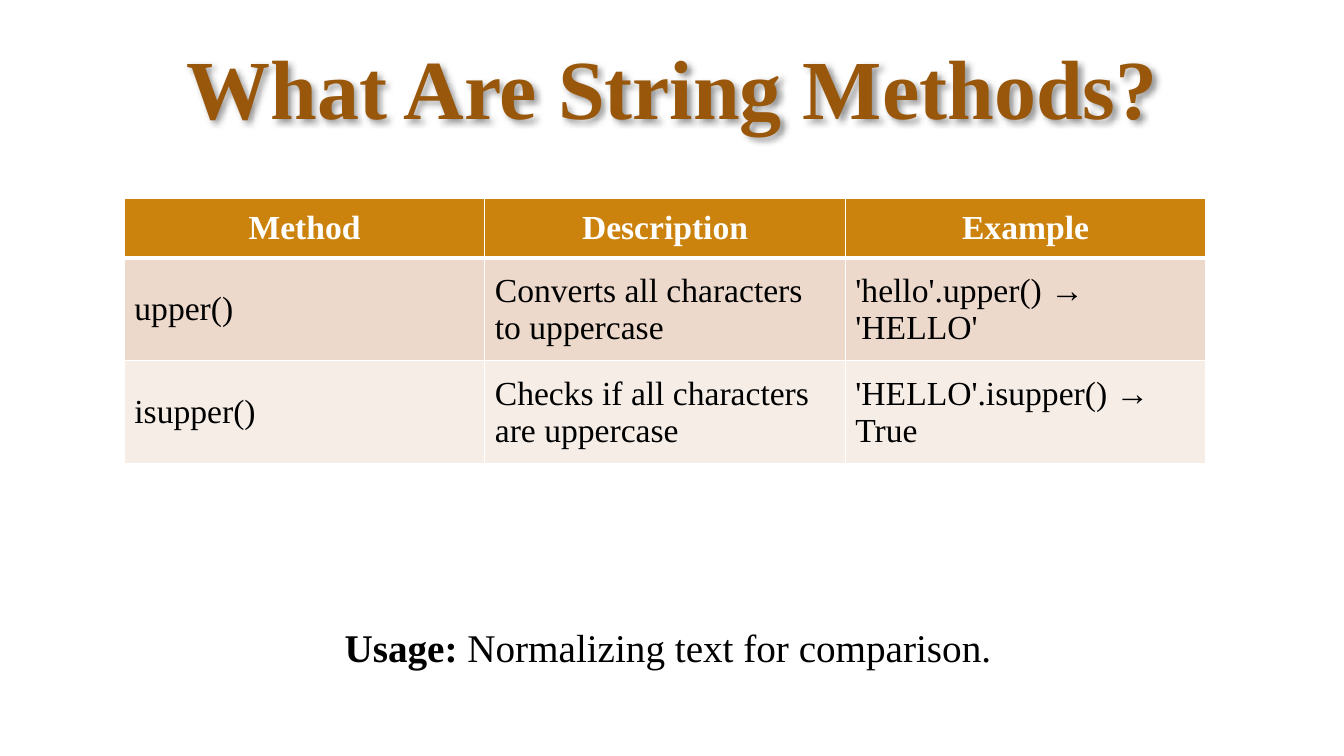
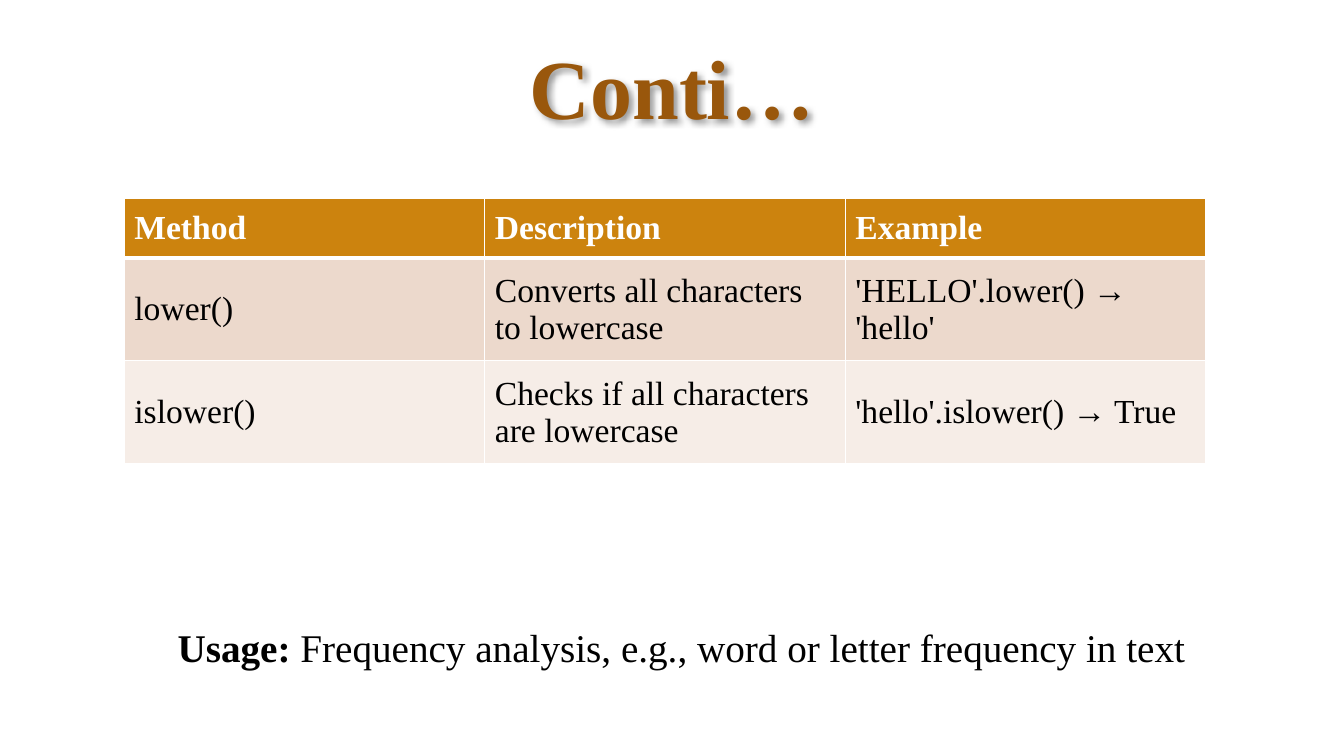
from lxml.etree import SubElement
from pptx import Presentation
from pptx.dml.color import RGBColor
from pptx.enum.text import MSO_ANCHOR as Anchor, MSO_AUTO_SIZE as AutoSize, PP_ALIGN as Align
from pptx.oxml import parse_xml
from pptx.oxml.ns import nsdecls, qn
from pptx.util import Pt

BROWN = RGBColor(0x99, 0x57, 0x0C)
AMBER = RGBColor(0xCC, 0x83, 0x0E)
SAND = RGBColor(0xEC, 0xD9, 0xCC)
CREAM = RGBColor(0xF6, 0xED, 0xE7)
WHITE = RGBColor(0xFF, 0xFF, 0xFF)
BLACK = RGBColor(0, 0, 0)
GREY = RGBColor(0x40, 0x40, 0x40)

FONT = "Times New Roman"
TITLE = dict(name=FONT, size=Pt(60), bold=True, color=BROWN)
HEAD = dict(name=FONT, size=Pt(24), bold=True, color=WHITE)
CELL = dict(HEAD, bold=False, color=BLACK)
USAGE = dict(CELL, size=Pt(28))

TITLE_BOX = (0, 8, 960, 93.6)
TABLE_BOX = (88.8, 142, 772.5, 189.2)
ROW_HEIGHTS = (42.4, 73.4, 73.4)
ROW_FILLS = (AMBER, SAND, CREAM)
HEADERS = ("Method", "Description", "Example")

SLIDES = [
    dict(title="What Are String Methods?", head_align=Align.CENTER,
         rows=[("upper()", "Converts all characters to uppercase", "'hello'.upper() → 'HELLO'"),
               ("isupper()", "Checks if all characters are uppercase", "'HELLO'.isupper() → True")],
         usage=" Normalizing text for comparison.",
         usage_box=(239, 441.4, 517, 41), usage_align=Align.LEFT),
    dict(title="Conti…", head_align=Align.LEFT,
         rows=[("lower()", "Converts all characters to lowercase", "'HELLO'.lower() → 'hello'"),
               ("islower()", "Checks if all characters are lowercase", "'hello'.islower() → True")],
         usage=" Frequency analysis, e.g., word or letter frequency in text",
         usage_box=(68.4, 441.4, 836.6, 41), usage_align=Align.CENTER),
]


def points(box):
    """Convert a box of numbers to lengths in points."""
    return [Pt(v) for v in box]


def add_run(p, text, fmt):
    """Add a formatted run to a paragraph."""
    r = p.add_run()
    r.text = text
    for key, value in fmt.items():
        if key == "color":
            r.font.color.rgb = value
        else:
            setattr(r.font, key, value)
    return r


def line_xml(tag, color, width, alpha=100):
    """Return a solid line element for a cell side or text outline."""
    return parse_xml(
        f'<a:{tag} {nsdecls("a")} w="{Pt(width)}"><a:solidFill><a:srgbClr val="{color}">'
        f'<a:alpha val="{alpha * 1000}"/></a:srgbClr></a:solidFill></a:{tag}>')


def add_shadow(sp):
    """Give the text of an unfilled shape a soft shadow to the lower right."""
    sp.fill.background()
    effects = SubElement(sp._element.spPr, qn("a:effectLst"))
    effects.append(parse_xml(
        f'<a:outerShdw {nsdecls("a")} blurRad="{Pt(4)}" dist="{Pt(3)}" dir="2700000" algn="tl">'
        f'<a:srgbClr val="{BLACK}"><a:alpha val="40000"/></a:srgbClr></a:outerShdw>'))


def add_title(s, box, text):
    """Place the slide title with its outline and shadow."""
    sp = s.shapes.title
    sp.left, sp.top, sp.width, sp.height = points(box)
    tf = sp.text_frame
    tf.word_wrap, tf.auto_size, tf.vertical_anchor = True, AutoSize.NONE, Anchor.BOTTOM
    p = tf.paragraphs[0]
    p.alignment, p.line_spacing = Align.CENTER, 0.9
    r = add_run(p, text, TITLE)
    r.font._element.insert(0, line_xml("ln", GREY, 0.75, 10))
    add_shadow(sp)


def fill_cell(cell, text, fmt, fill, align, top, bottom):
    """Write one table cell with its fill and white borders."""
    cell.vertical_anchor = Anchor.MIDDLE
    cell.fill.solid()
    cell.fill.fore_color.rgb = fill
    p = cell.text_frame.paragraphs[0]
    p.alignment = align
    add_run(p, text, fmt)
    tc_pr = cell._tc.get_or_add_tcPr()
    sides = (("lnL", 1), ("lnR", 1), ("lnT", top), ("lnB", bottom))
    for i, (tag, width) in enumerate(sides):
        tc_pr.insert(i, line_xml(tag, WHITE, width))


def add_methods(s, box, rows, head_align):
    """Place the table of methods with equal columns."""
    rows = [HEADERS, *rows]
    table = s.shapes.add_table(len(rows), len(HEADERS), *points(box)).table
    for col in table.columns:
        col.width = Pt(box[2] / len(HEADERS))
    for i, (row, height, fill) in enumerate(zip(rows, ROW_HEIGHTS, ROW_FILLS)):
        table.rows[i].height = Pt(height)
        fmt, align = (CELL, Align.LEFT) if i else (HEAD, head_align)
        top, bottom = (3 if i == 1 else 1), (1 if i else 3)
        for j, text in enumerate(row):
            fill_cell(table.cell(i, j), text, fmt, fill, align, top, bottom)


def add_usage(s, box, text, align):
    """Place the usage note below the table."""
    tf = s.shapes.add_textbox(*points(box)).text_frame
    tf.word_wrap, tf.auto_size = True, AutoSize.SHAPE_TO_FIT_TEXT
    p = tf.paragraphs[0]
    p.alignment = align
    add_run(p, "Usage:", dict(USAGE, bold=True))
    add_run(p, text, USAGE)


def add_method_slide(prs, data):
    """Add a slide with a title, a table of methods and a usage note."""
    s = prs.slides.add_slide(prs.slide_layouts[5])
    add_title(s, TITLE_BOX, data["title"])
    add_methods(s, TABLE_BOX, data["rows"], data["head_align"])
    add_usage(s, data["usage_box"], data["usage"], data["usage_align"])


def main():
    """Build and save the presentation."""
    prs = Presentation()
    prs.slide_width, prs.slide_height = Pt(960), Pt(540)
    for data in SLIDES:
        add_method_slide(prs, data)
    prs.save("out.pptx")


if __name__ == "__main__":
    main()
